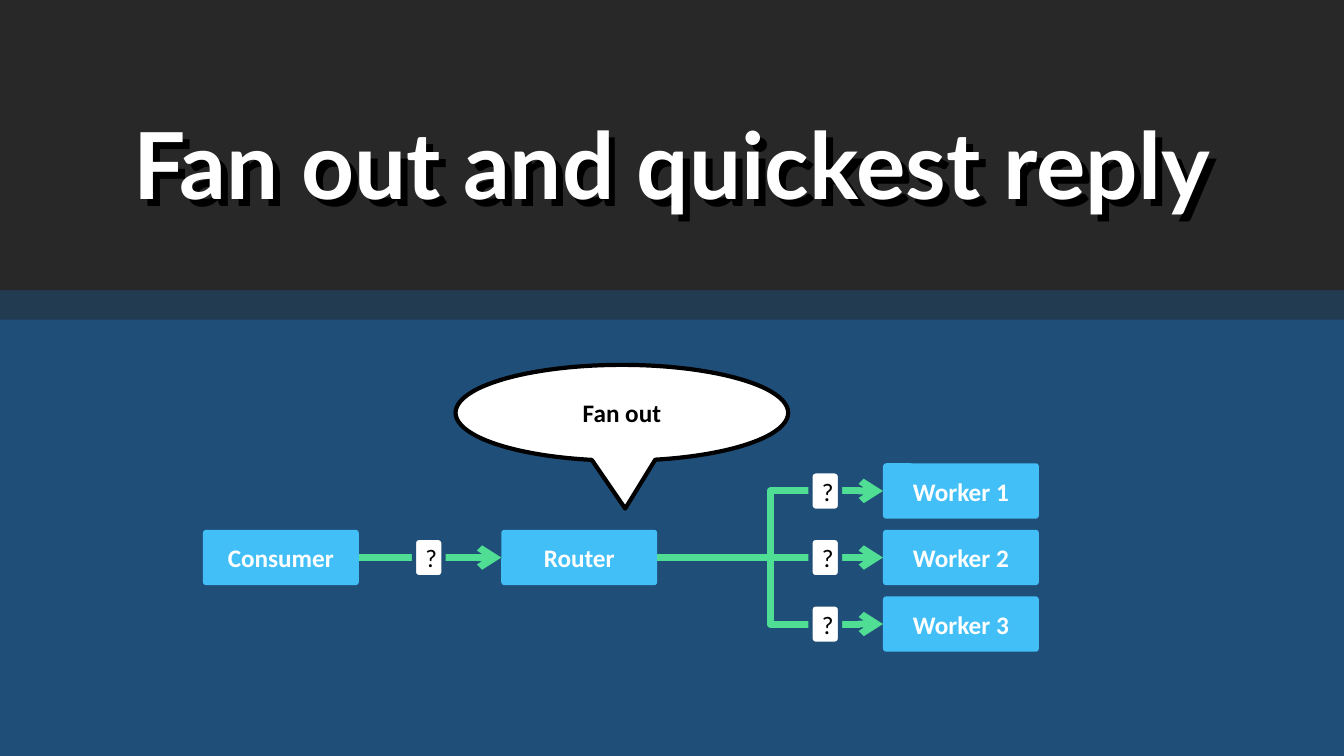
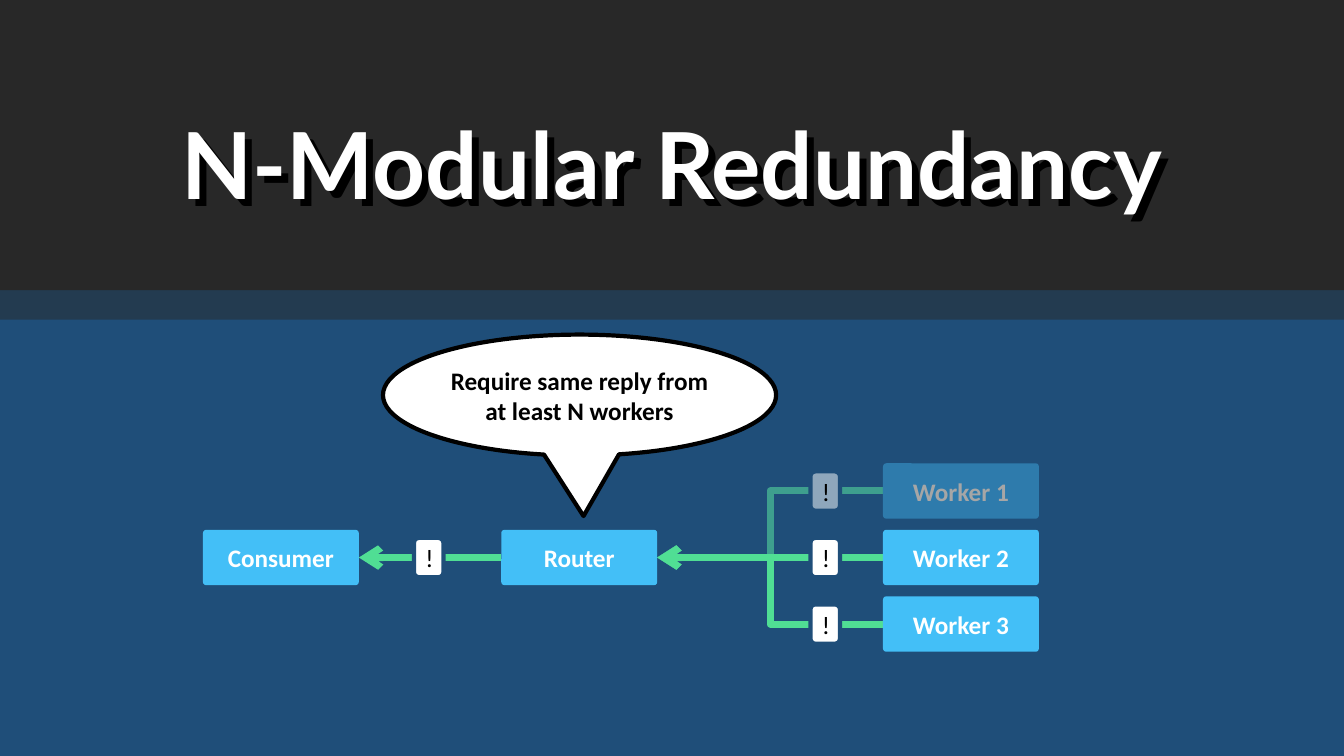
from lxml import etree
from pptx import Presentation, util as u
from pptx.dml.color import RGBColor
from pptx.enum import shapes, text
from pptx.oxml import ns

COLORS = {
    "page": "1F4E79", "header": "282828", "strip": "233B50", "white": "FFFFFF", "black": "000000",
    "node": "43BFF7", "wire": "50DE94",
    "dim_node": "2E7BAC", "dim_wire": "3E9F8E", "dim_card": "8FA7BC", "dim_text": "A6A6A6",
}
WIDTH, HEIGHT = u.Inches(13.33), u.Inches(7.5)
NODE_W, NODE_H = 11.6, 7.33
CARD_W, CARD_H = 2.2, 5.2
CONSUMER_X, ROUTER_X, WORKER_X = 15.1, 37.3, 65.7
REQUEST_X, FAN_X = 31.9, 61.4
MIDDLE_Y, ROW_GAP = 73.75, 8.8
PRESETS = shapes.MSO_SHAPE


class Sketch:
    """Holds the style and the current slide; lengths are percentages of the slide's size."""

    def __init__(self):
        self.deck = Presentation()
        self.deck.slide_width, self.deck.slide_height = WIDTH, HEIGHT
        self.page = None

    def place(self, left, top, width, height):
        return [int(share * side / 100) for share, side in
                ((left, WIDTH), (top, HEIGHT), (width, WIDTH), (height, HEIGHT))]

    def color(self, name):
        return RGBColor.from_string(COLORS[name])

    def label(self, box, words, size, color, bold=True, font="Calibri"):
        frame = box.text_frame
        frame.text = words
        frame.word_wrap = True
        frame.vertical_anchor = text.MSO_ANCHOR.MIDDLE
        para = frame.paragraphs[0]
        para.alignment = text.PP_ALIGN.CENTER
        para.font.name, para.font.size, para.font.bold = font, u.Pt(size), bold
        para.font.color.rgb = self.color(color)

    def shape(self, preset, place, fill, line=None, corner=None):
        box = self.page.shapes.add_shape(preset, *self.place(*place))
        box.shadow.inherit = False
        box.fill.solid()
        box.fill.fore_color.rgb = self.color(fill)
        if line:
            box.line.color.rgb = self.color(line)
            box.line.width = u.Pt(3)
        else:
            box.line.fill.background()
        if corner is not None:
            box.adjustments[0] = corner
        return box

    def start(self, words):
        self.page = self.deck.slides.add_slide(self.deck.slide_layouts[5])
        background = self.page.background.fill
        background.solid()
        background.fore_color.rgb = self.color("page")
        self.shape(PRESETS.RECTANGLE, (0, 38.4, 100, 3.9), "strip")
        self.shape(PRESETS.RECTANGLE, (0, 0, 100, 38.4), "header")
        title = self.page.shapes.title
        title.left, title.top, title.width, title.height = self.place(0, 13.47, 100, 16.13)
        self.label(title, words, 66, "white", font="Lato")
        title.text_frame.auto_size = text.MSO_AUTO_SIZE.NONE
        effects = etree.SubElement(title.element.spPr, ns.qn("a:effectLst"))
        shadow = etree.SubElement(effects, ns.qn("a:outerShdw"), dist=str(u.Pt(7)), dir="2700000", algn="tl")
        etree.SubElement(shadow, ns.qn("a:srgbClr"), val=COLORS["black"])
        title.element.getparent().append(title.element)

    def wire(self, start_x, end_x, end_y, arrow_end, color="wire"):
        kind = shapes.MSO_CONNECTOR.STRAIGHT if end_y == MIDDLE_Y else shapes.MSO_CONNECTOR.ELBOW
        begin, end = self.place(start_x, MIDDLE_Y, 0, 0)[:2], self.place(end_x, end_y, 0, 0)[:2]
        wire = self.page.shapes.add_connector(kind, *begin, *end)
        wire.line.color.rgb = self.color(color)
        wire.line.width = u.Pt(5)
        outline = wire.element.spPr.find(ns.qn("a:ln"))
        etree.SubElement(outline, ns.qn("a:" + arrow_end), type="arrow")
        etree.SubElement(wire.element.spPr, ns.qn("a:effectLst"))

    def node(self, left, middle, words, fill="node", color="white"):
        box = self.shape(PRESETS.ROUNDED_RECTANGLE, (left, middle - NODE_H / 2, NODE_W, NODE_H), fill, corner=0.06)
        self.label(box, words, 18, color)

    def card(self, center, middle, words, fill="white"):
        place = (center - CARD_W / 2, middle - CARD_H / 2, CARD_W, CARD_H)
        self.label(self.shape(PRESETS.ROUNDED_RECTANGLE, place, fill, "page"), words, 18, "black", bold=False)

    def callout(self, place, words):
        box = self.shape(PRESETS.OVAL_CALLOUT, place, "white", "black", 0.01)
        box.adjustments[1] = 1
        self.label(box, words, 18, "black")

    def routing(self, mark, arrow_end, dimmed=()):
        rows = {number: MIDDLE_Y + (number - 2) * ROW_GAP for number in (1, 2, 3)}
        for number in (3, 1, 2):
            color = "dim_wire" if number in dimmed else "wire"
            self.wire(ROUTER_X + NODE_W, WORKER_X, rows[number], arrow_end, color)
        self.wire(CONSUMER_X + NODE_W, ROUTER_X, MIDDLE_Y, arrow_end)
        for number, middle in rows.items():
            dim = number in dimmed
            self.card(FAN_X, middle, mark, "dim_card" if dim else "white")
            style = ("dim_node", "dim_text") if dim else ("node", "white")
            self.node(WORKER_X, middle, f"Worker {number}", *style)
        self.card(REQUEST_X, MIDDLE_Y, mark)
        self.node(ROUTER_X, MIDDLE_Y, "Router")
        self.node(CONSUMER_X, MIDDLE_Y, "Consumer")


def main():
    sketch = Sketch()
    sketch.start("Fan out and quickest reply")
    sketch.routing("?", "tailEnd")
    sketch.callout((33.9, 48.27, 24.75, 12.67), "Fan out")
    sketch.start("N-Modular Redundancy")
    sketch.routing("!", "headEnd", dimmed=(1,))
    sketch.callout((28.5, 44.27, 29.25, 16), "Require same reply from at least N workers")
    sketch.deck.save("out.pptx")


if __name__ == "__main__":
    main()
